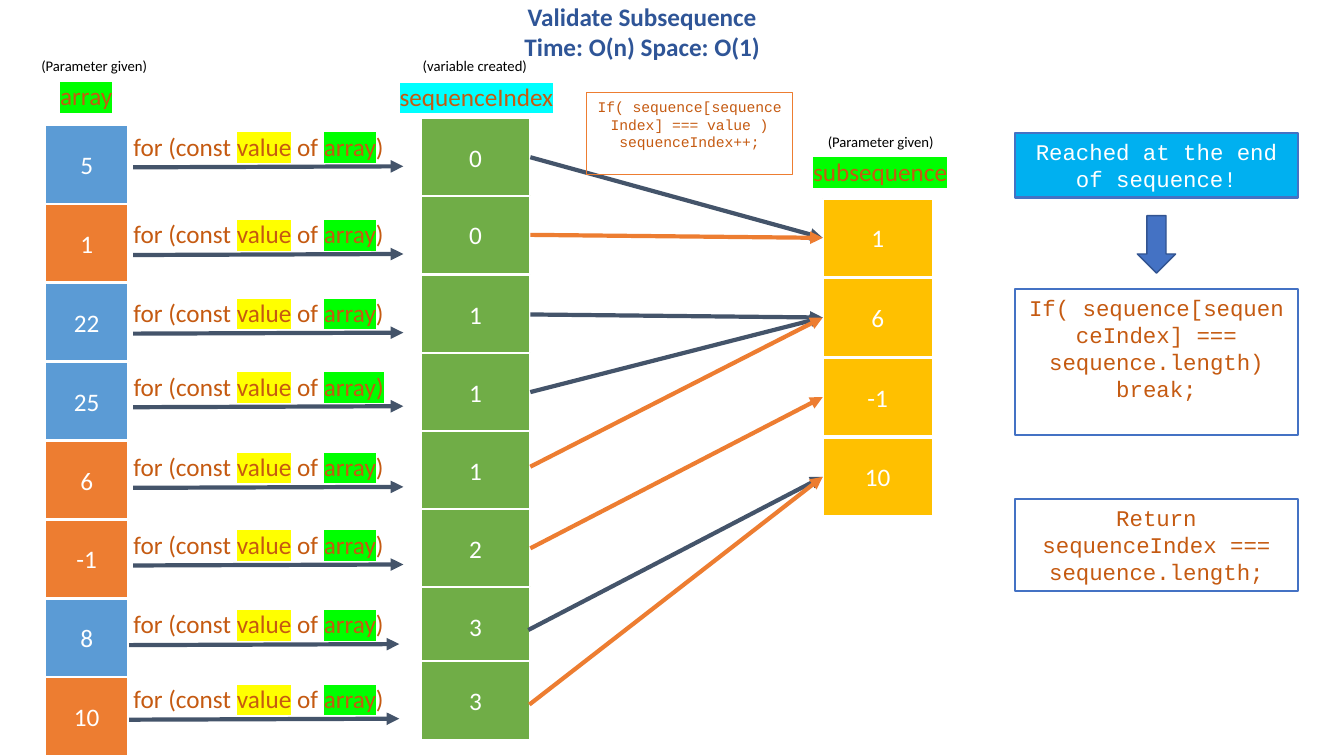
from dataclasses import dataclass

from lxml import etree
from pptx import Presentation
from pptx.dml.color import RGBColor
from pptx.enum.shapes import MSO_CONNECTOR, MSO_SHAPE
from pptx.enum.text import MSO_ANCHOR, MSO_AUTO_SIZE, PP_ALIGN
from pptx.oxml.ns import qn
from pptx.util import Inches, Pt

RECT, DOWN_ARROW = MSO_SHAPE.RECTANGLE, MSO_SHAPE.DOWN_ARROW
STRAIGHT = MSO_CONNECTOR.STRAIGHT
TOP, MIDDLE = MSO_ANCHOR.TOP, MSO_ANCHOR.MIDDLE
CENTER, NO_FIT = PP_ALIGN.CENTER, MSO_AUTO_SIZE.NONE

COLORS = {
    "title": "2F5597", "text": "C55A11", "black": "000000", "white": "FFFFFF",
    "blue": "5B9BD5", "orange": "ED7D31", "green": "70AD47", "gold": "FFC000",
    "slate": "44546A", "frame": "4472C4", "arrow_edge": "325491", "sky": "00B0F0",
    "lime": "00FF00", "yellow": "FFFF00", "cyan": "00FFFF",
}
SANS, MONO = "Calibri", "Courier New"

Box = tuple[float, float, float, float]


@dataclass
class Run:
    text: str
    highlight: str = ""


@dataclass
class Style:
    size: float = 18
    color: str = "text"
    font: str = SANS
    bold: bool = False


@dataclass
class Step:
    """One pass of the loop: array value, index so far, and where its arrows start."""
    value: str
    index: int
    match: bool
    index_top: float
    call_y: float
    link_y: float
    call_x: float = 1.32
    link_x: float = 5.26


@dataclass
class Label:
    box: Box
    text: str
    highlight: str = ""
    size: float = 18
    wrap: bool = True


@dataclass
class Panel:
    box: Box
    text: str
    size: float = 16
    fill: str = ""
    line: str = "frame"
    width: float = 1.5
    color: str = "text"


STEPS = [
    Step("5", 0, False, 1.17, 1.66, 1.56),
    Step("1", 0, True, 1.94, 2.53, 2.33),
    Step("22", 1, False, 2.73, 3.31, 3.12),
    Step("25", 1, False, 3.5, 4.04, 3.89),
    Step("6", 1, True, 4.28, 4.84, 4.63),
    Step("-1", 2, True, 5.05, 5.61, 5.44),
    Step("8", 3, False, 5.82, 6.4, 6.25, call_x=1.28, link_x=5.24),
    Step("10", 3, True, 6.56, 7.14, 6.99, call_x=1.28, link_x=5.25),
]
SUBSEQUENCE = ["1", "6", "-1", "10"]
LABELS = [
    Label((0.31, 0.75, 1.09, 0.4), "array", "lime"),
    Label((3.77, 0.76, 1.91, 0.4), "sequenceIndex", "cyan"),
    Label((7.93, 1.5, 1.6, 0.4), "subsequence", "lime"),
    Label((0.3, 0.51, 1.27, 0.28), "(Parameter given)", size=10.5, wrap=False),
    Label((4.08, 0.51, 1.26, 0.28), "(variable created)", size=10.5, wrap=False),
    Label((8.1, 1.27, 1.27, 0.28), "(Parameter given)", size=10.5, wrap=False),
]
# No-break spaces keep each condition together
PANELS = [
    Panel((5.82, 0.92, 2.04, 0.81),
          "If(\u00a0sequence[sequenceIndex] === value ) sequenceIndex++;",
          size=10.5, line="orange", width=1),
    Panel((10.07, 1.32, 2.8, 0.64), "Reached at the end of sequence!",
          fill="sky", color="white"),
    Panel((10.07, 2.87, 2.8, 1.45),
          "If(\u00a0sequence[sequenceIndex] === sequence.length) break;"),
    Panel((10.07, 4.95, 2.8, 0.91), "Return sequenceIndex === sequence.length;"),
]
CELL_H = 0.78
ARRAY_TOP, ARRAY_STEP = 1.24, (6.72 - 1.24) / 7
SUB_TOP, SUB_STEP = 1.97, 0.79

prs = Presentation()
prs.slide_width, prs.slide_height = Inches(13.33), Inches(7.5)
s = prs.slides.add_slide(prs.slide_layouts[5])


def rgb(name: str) -> RGBColor:
    return RGBColor.from_string(COLORS[name])


def inches(box: Box) -> list:
    return [Inches(v) for v in box]


def set_frame(tf, anchor=TOP, wrap: bool = True) -> None:
    values = {"auto_size": NO_FIT, "word_wrap": wrap, "vertical_anchor": anchor}
    for name, value in values.items():
        setattr(tf, name, value)


def write(p, runs: list[Run], style: Style) -> None:
    p.alignment = CENTER
    values = {"size": Pt(style.size), "name": style.font, "bold": style.bold}
    for run in runs:
        r = p.add_run()
        r.text = run.text
        for name, value in values.items():
            setattr(r.font, name, value)
        r.font.color.rgb = rgb(style.color)
        if run.highlight:
            mark = etree.Element(qn("a:highlight"))
            etree.SubElement(mark, qn("a:srgbClr"), val=COLORS[run.highlight])
            r.font.fill._xPr.find(qn("a:solidFill")).addnext(mark)


def add_box(box: Box, fill: str, line: str, width: float, kind=RECT):
    sp = s.shapes.add_shape(kind, *inches(box))
    sp.shadow.inherit = False
    if fill:
        sp.fill.solid()
        sp.fill.fore_color.rgb = rgb(fill)
    else:
        sp.fill.background()
    sp.line.color.rgb = rgb(line)
    sp.line.width = Pt(width)
    return sp


def add_cell(box: Box, text: str, fill: str) -> None:
    tf = add_box(box, fill, "white", 1.5).text_frame
    set_frame(tf, MIDDLE)
    write(tf.paragraphs[0], [Run(text)], Style(color="white"))


def add_text(box: Box, runs: list[Run], style: Style, wrap: bool = True) -> None:
    tf = s.shapes.add_textbox(*inches(box)).text_frame
    set_frame(tf, wrap=wrap)
    write(tf.paragraphs[0], runs, style)


def add_arrow(x1: float, y1: float, x2: float, y2: float, color: str) -> None:
    c = s.shapes.add_connector(STRAIGHT, *inches((x1, y1, x2, y2)))
    c.line.color.rgb = rgb(color)
    c.line.width = Pt(3)
    etree.SubElement(c.line._get_or_add_ln(), qn("a:tailEnd"), type="triangle")
    etree.SubElement(c._element.spPr, qn("a:effectLst"))


# Title
title = s.shapes.title
title.left, title.top, title.width, title.height = inches((4.62, -0.04, 3.5, 0.71))
tf = title.text_frame
set_frame(tf)
title_style = Style(color="title", bold=True)
write(tf.paragraphs[0], [Run("Validate Subsequence")], title_style)
write(tf.add_paragraph(), [Run("Time: O(n) Space: O(1)")], title_style)

# Column headings
for label in LABELS:
    color = "text" if label.highlight else "black"
    add_text(label.box, [Run(label.text, label.highlight)],
             Style(label.size, color), label.wrap)

# Subsequence column
for i, value in enumerate(SUBSEQUENCE):
    add_cell((8.16, SUB_TOP + i * SUB_STEP, 1.09, CELL_H), value, "gold")

# Array and sequenceIndex columns with the loop call between them
for i, step in enumerate(STEPS):
    add_cell((0.45, ARRAY_TOP + i * ARRAY_STEP, 0.82, CELL_H), step.value,
             "orange" if step.match else "blue")
    add_cell((4.17, step.index_top, 1.09, CELL_H), str(step.index), "green")
    add_arrow(step.call_x, step.call_y, step.call_x + 2.68, step.call_y - 0.01, "slate")
    ending = [Run("array)", "lime")] if step.value == "25" else [Run("array", "lime"), Run(")")]
    add_text((1.13, step.call_y - 0.41, 2.87, 0.4),
             [Run("for (const "), Run("value", "yellow"), Run(" of "), *ending], Style())

# Comparisons: each index points at its subsequence cell
for step in STEPS:
    add_arrow(step.link_x, step.link_y, 8.16, SUB_TOP + step.index * SUB_STEP + CELL_H / 2,
              "orange" if step.match else "slate")

# Code panels and the arrow between them
for panel in PANELS:
    tf = add_box(panel.box, panel.fill, panel.line, panel.width).text_frame
    set_frame(tf)
    write(tf.paragraphs[0], [Run(panel.text)], Style(panel.size, panel.color, MONO))
add_box((11.28, 2.14, 0.38, 0.57), "frame", "arrow_edge", 1, DOWN_ARROW)

prs.save("out.pptx")
